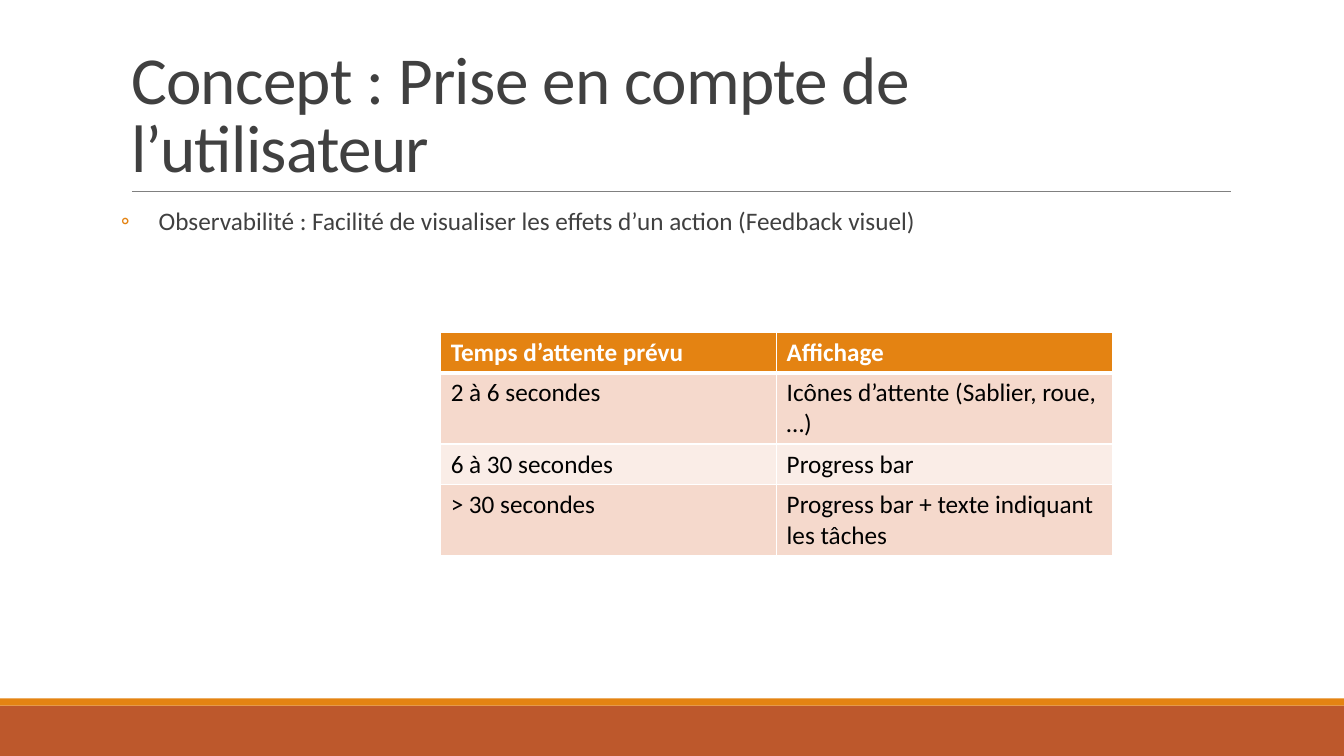
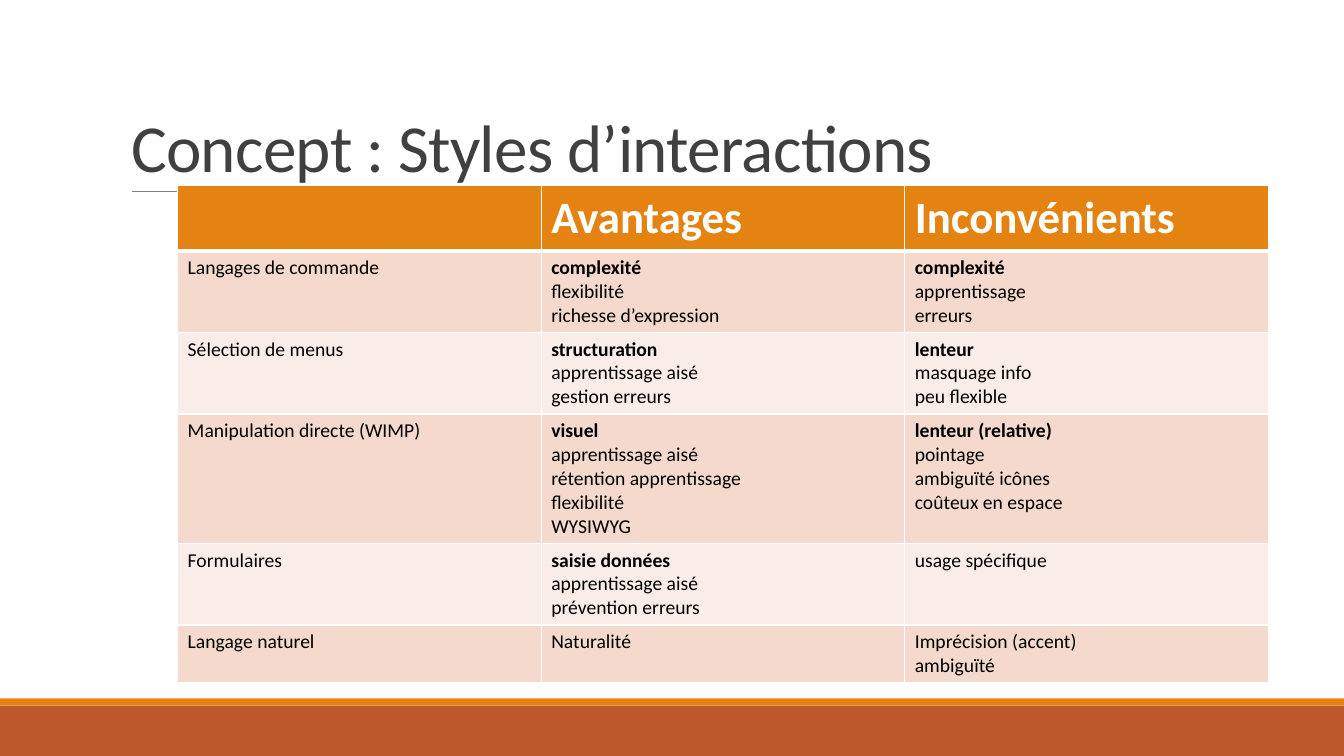
from lxml import etree
from pptx import Presentation
from pptx.dml.color import RGBColor
from pptx.enum.shapes import MSO_CONNECTOR, MSO_SHAPE
from pptx.enum.text import MSO_ANCHOR, MSO_AUTO_SIZE, PP_ALIGN
from pptx.oxml.ns import qn
from pptx.util import Pt

RECT = MSO_SHAPE.RECTANGLE
STRAIGHT = MSO_CONNECTOR.STRAIGHT
TOP, BOTTOM = MSO_ANCHOR.TOP, MSO_ANCHOR.BOTTOM
NO_FIT = MSO_AUTO_SIZE.NONE
LEFT = PP_ALIGN.LEFT

FONT = "Calibri"
WIDTH, HEIGHT = 960, 540
ORANGE, RUST, GREY, DARK = "E48312", "BD582C", "808080", "404040"
WHITE, BLACK = "FFFFFF", "000000"
STRIPES = ("F5D9CC", "FAEDE7")
MARGIN, CONTENT_WIDTH = 86.4, 792

WAITING_TIMES = [
    ["Temps d’attente prévu", "Affichage"],
    ["2 à 6 secondes", "Icônes d’attente (Sablier, roue, …)"],
    ["6 à 30 secondes", "Progress bar"],
    ["> 30 secondes", "Progress bar + texte indiquant les tâches"],
]
INTERACTION_STYLES = [
    ["", "Avantages", "Inconvénients"],
    ["Langages de commande",
     "*complexité\nflexibilité\nrichesse d’expression",
     "*complexité\napprentissage\nerreurs"],
    ["Sélection de menus",
     "*structuration\napprentissage aisé\ngestion erreurs",
     "*lenteur\nmasquage info\npeu flexible"],
    ["Manipulation directe (WIMP)",
     "*visuel\napprentissage aisé\nrétention apprentissage\nflexibilité\nWYSIWYG",
     "*lenteur (relative)\npointage\nambiguïté icônes\ncoûteux en espace"],
    ["Formulaires",
     "*saisie données\napprentissage aisé\nprévention erreurs",
     "usage spécifique"],
    ["Langage naturel", "Naturalité", "Imprécision (accent)\nambiguïté"],
]


def rgb(color):
    """Turn a hex string into a colour."""
    return RGBColor.from_string(color)


def set_fill(fill, color):
    """Make a fill solid in the given colour."""
    fill.solid()
    fill.fore_color.rgb = rgb(color)


def write_text(tf, text, size=18, color=BLACK, bold=False, line_spacing=1.0,
               before=0, after=0, tracking=None):
    """Write one paragraph per line; a leading asterisk makes a line bold."""
    for i, line in enumerate(text.split("\n")):
        p = tf.paragraphs[0] if i == 0 else tf.add_paragraph()
        p.alignment = LEFT
        p.line_spacing = line_spacing
        p.space_before, p.space_after = Pt(before), Pt(after)
        r = p.add_run()
        r.text = line.removeprefix("*")
        r.font.name, r.font.size = FONT, Pt(size)
        r.font.bold = bold or line.startswith("*")
        r.font.color.rgb = rgb(color)
        if tracking is not None:
            r.font._element.set("spc", str(round(tracking * 100)))


def add_band(s, top, height, color):
    """Add a full-width coloured band."""
    sp = s.shapes.add_shape(RECT, 0, Pt(top), Pt(WIDTH), Pt(height))
    sp.shadow.inherit = False
    set_fill(sp.fill, color)
    sp.line.fill.background()


def add_rule(s, left, right, y):
    """Add the thin line below the title."""
    line = s.shapes.add_connector(STRAIGHT, Pt(left), Pt(y), Pt(right), Pt(y))
    line.line.color.rgb = rgb(GREY)
    line.line.width = Pt(0.5)
    etree.SubElement(line._element.spPr, qn("a:effectLst"))


def set_title(s, text):
    """Place and format the title placeholder."""
    sp = s.shapes.title
    sp.left, sp.top = Pt(MARGIN), Pt(22.6)
    sp.width, sp.height = Pt(CONTENT_WIDTH), Pt(114.2)
    tf = sp.text_frame
    tf.word_wrap, tf.auto_size = True, NO_FIT
    tf.vertical_anchor = BOTTOM
    write_text(tf, text, size=48, color=DARK, line_spacing=0.85, tracking=-0.5)


def add_slide(prs, title):
    """Add a slide with the shared bands, rule and title."""
    s = prs.slides.add_slide(prs.slide_layouts[5])
    add_band(s, 504, 36, RUST)
    add_band(s, 498.8, 5.2, ORANGE)
    add_rule(s, 94.2, 879, 136.9)
    set_title(s, title)
    return s


def set_bullet(p, char, color, indent):
    """Give a paragraph a coloured bullet with a hanging indent."""
    pPr = p._p.get_or_add_pPr()
    pPr.set("marL", str(Pt(indent)))
    pPr.set("indent", str(-Pt(indent)))
    bullet_color = etree.SubElement(pPr, qn("a:buClr"))
    etree.SubElement(bullet_color, qn("a:srgbClr"), val=color)
    etree.SubElement(pPr, qn("a:buFont"), typeface=FONT)
    etree.SubElement(pPr, qn("a:buChar"), char=char)


def add_bullets(s, text, top, height):
    """Add a bulleted text box across the content width."""
    box = s.shapes.add_textbox(Pt(MARGIN), Pt(top), Pt(CONTENT_WIDTH), Pt(height))
    tf = box.text_frame
    tf.word_wrap = True
    tf.margin_left = tf.margin_right = 0
    write_text(tf, text, color=DARK, line_spacing=0.9, before=2, after=4)
    for p in tf.paragraphs:
        set_bullet(p, "◦", ORANGE, 27)


def set_borders(cell, **widths):
    """Draw white cell borders with the given widths, in schema order."""
    tcPr = cell._tc.get_or_add_tcPr()
    for i, side in enumerate("LRTB"):
        ln = etree.Element(qn(f"a:ln{side}"), w=str(Pt(widths.get(side, 1))))
        solid = etree.SubElement(ln, qn("a:solidFill"))
        etree.SubElement(solid, qn("a:srgbClr"), val=WHITE)
        tcPr.insert(i, ln)


def format_cell(cell, text, row, head_size, body_size):
    """Fill, border and write one cell according to its row."""
    cell.vertical_anchor = TOP
    if row == 0:
        set_fill(cell.fill, ORANGE)
        set_borders(cell, B=3)
        write_text(cell.text_frame, text, size=head_size, color=WHITE, bold=True)
    else:
        set_fill(cell.fill, STRIPES[(row - 1) % 2])
        set_borders(cell, T=3 if row == 1 else 1)
        write_text(cell.text_frame, text, size=body_size)


def add_grid(s, rows, left, top, col_width, heights, head_size=18, body_size=18):
    """Add a table with a header row and striped body rows."""
    cols = len(rows[0])
    table = s.shapes.add_table(len(rows), cols, Pt(left), Pt(top),
                               Pt(col_width * cols), Pt(sum(heights))).table
    for col in table.columns:
        col.width = Pt(col_width)
    for i, (texts, height) in enumerate(zip(rows, heights)):
        table.rows[i].height = Pt(height)
        for j, text in enumerate(texts):
            format_cell(table.cell(i, j), text, i, head_size, body_size)


def main():
    """Build and save the presentation."""
    prs = Presentation()
    prs.slide_width, prs.slide_height = Pt(WIDTH), Pt(HEIGHT)

    s = add_slide(prs, "Concept : Prise en compte de l’utilisateur")
    add_bullets(s, "Observabilité : Facilité de visualiser les effets d’un action "
                   "(Feedback visuel)", 145.4, 316.8)
    add_grid(s, WAITING_TIMES, 314.8, 237.2, 240, [29, 51, 29, 51])

    s = add_slide(prs, "Concept : Styles d’interactions")
    add_grid(s, INTERACTION_STYLES, 126.9, 132.7, 259.7,
             [45, 58, 58, 92, 58, 41], head_size=32, body_size=14)

    prs.save("out.pptx")


if __name__ == "__main__":
    main()
